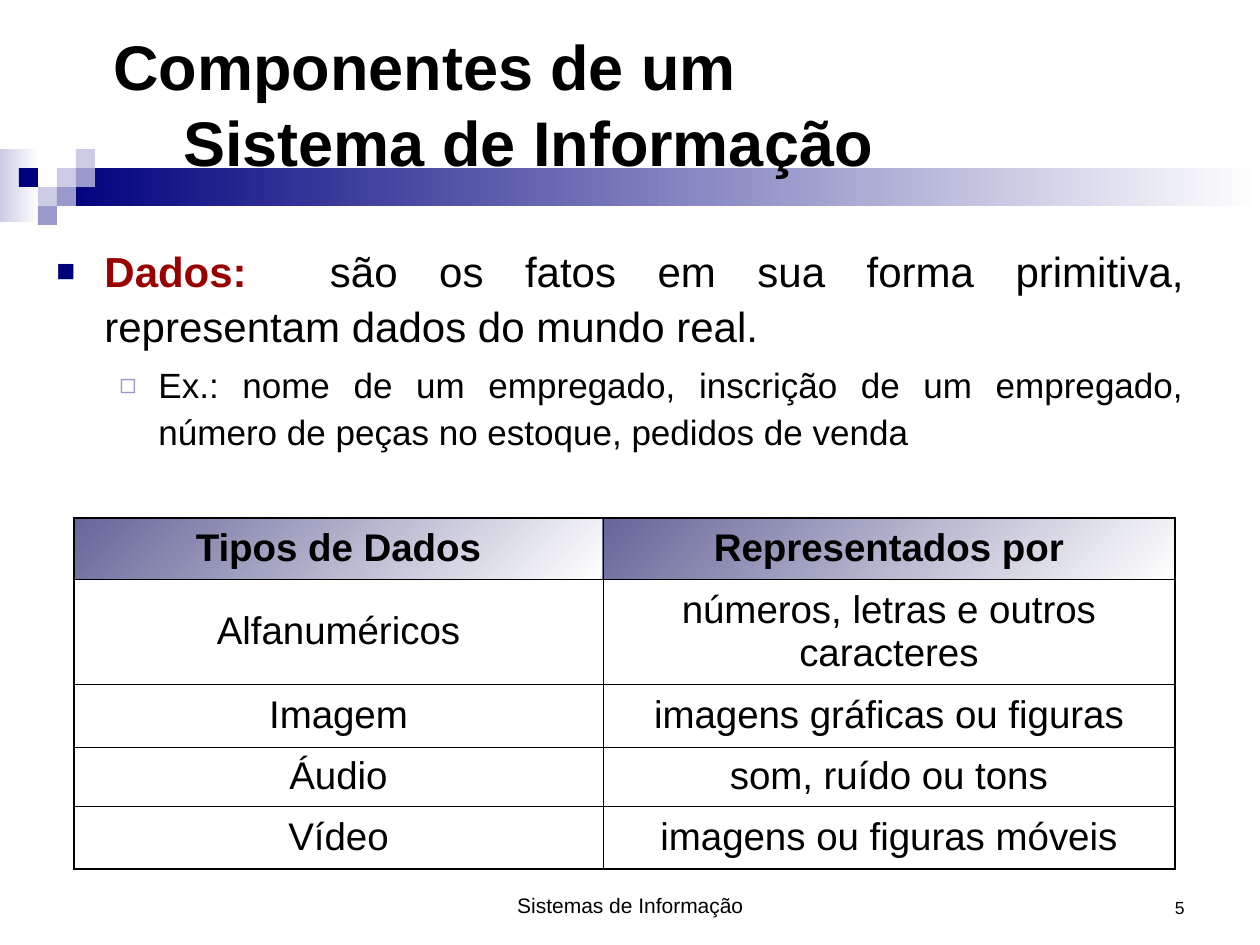
from dataclasses import dataclass

import pptx
import pptx.dml.color
import pptx.enum.shapes
import pptx.enum.text
import pptx.oxml
import pptx.oxml.ns
import pptx.util
from lxml import etree

RGB = pptx.dml.color.RGBColor
ALIGN = pptx.enum.text.PP_ALIGN
ANCHOR = pptx.enum.text.MSO_ANCHOR

BLACK = RGB(0x00, 0x00, 0x00)
WHITE = RGB(0xFF, 0xFF, 0xFF)
NAVY = RGB(0x00, 0x00, 0x7D)
LILAC = RGB(0x99, 0x99, 0xCC)
PALE_LILAC = RGB(0xCC, 0xCC, 0xE6)
HEADER_SLATE = RGB(0x66, 0x66, 0x99)
DARK_RED = RGB(0x99, 0x00, 0x00)

FONT = "Arial"
PX_PER_INCH = 126
THIN, THICK = 0.45, 1.08


@dataclass(frozen=True)
class Box:
    left: int
    top: int
    width: int
    height: int


@dataclass(frozen=True)
class Tile:
    column: int
    row: int
    color: RGB


@dataclass(frozen=True)
class Bullet:
    char: str
    color: RGB
    percent: int
    margin: int
    hanging: int


def px(length: int) -> int:
    return round(length * pptx.util.Inches(1) / PX_PER_INCH)


def emu(box: Box) -> tuple[int, ...]:
    return tuple(px(n) for n in (box.left, box.top, box.width, box.height))


def fade(fill, color: RGB, angle: int) -> None:
    """Fade from white to a colour; the angle runs counter-clockwise."""
    fill.gradient()
    fill.gradient_angle = angle
    for stop, stop_color in zip(fill.gradient_stops, (WHITE, color)):
        stop.color.rgb = stop_color


def add_block(slide, box: Box, color: RGB, fades: bool = False) -> None:
    block = slide.shapes.add_shape(
        pptx.enum.shapes.MSO_SHAPE.RECTANGLE, *emu(box))
    block.shadow.inherit = False
    block.line.fill.background()
    if fades:
        fade(block.fill, color, 180)
    else:
        block.fill.solid()
        block.fill.fore_color.rgb = color


def add_text_frame(slide, box: Box, anchor: ANCHOR):
    frame = slide.shapes.add_textbox(*emu(box)).text_frame
    frame.word_wrap = True
    frame.vertical_anchor = anchor
    return frame


def style(paragraph, size: int, align: ALIGN, bold: bool = False) -> None:
    paragraph.alignment = align
    paragraph.font.name = FONT
    paragraph.font.size = pptx.util.Pt(size)
    paragraph.font.bold = bold
    paragraph.font.color.rgb = BLACK


def set_indent(paragraph, margin: int, hanging: int) -> None:
    properties = paragraph._p.get_or_add_pPr()
    properties.set("marL", str(px(margin)))
    properties.set("indent", str(-px(hanging)))


def set_bullet(paragraph, bullet: Bullet) -> None:
    set_indent(paragraph, bullet.margin, bullet.hanging)
    properties = paragraph._p.get_or_add_pPr()
    namespace = pptx.oxml.ns.nsdecls("a")
    for xml in (
        f'<a:buClr {namespace}><a:srgbClr val="{bullet.color}"/></a:buClr>',
        f'<a:buSzPct {namespace} val="{bullet.percent * 1000}"/>',
        f'<a:buFont {namespace} typeface="{FONT}"/>',
        f'<a:buChar {namespace} char="{bullet.char}"/>',
    ):
        properties.append(pptx.oxml.parse_xml(xml))


def set_borders(cell, widths: dict[str, float]) -> None:
    properties = cell._tc.get_or_add_tcPr()
    for position, (side, width) in enumerate(widths.items()):
        line = etree.Element(pptx.oxml.ns.qn(f"a:ln{side}"),
                             w=str(pptx.util.Pt(width)))
        solid = etree.SubElement(line, pptx.oxml.ns.qn("a:solidFill"))
        etree.SubElement(solid, pptx.oxml.ns.qn("a:srgbClr"), val=str(BLACK))
        properties.insert(position, line)


def add_data_table(slide, box: Box, widths: list[int], heights: list[int],
                   rows: list[tuple[str, str]]) -> None:
    table = slide.shapes.add_table(len(rows), len(widths), *emu(box)).table
    table.first_row = table.horz_banding = False
    for column, width in zip(table.columns, widths):
        column.width = px(width)
    last_row, last_column = len(rows) - 1, len(widths) - 1
    for r, (texts, height) in enumerate(zip(rows, heights)):
        table.rows[r].height = px(height)
        for c, text in enumerate(texts):
            cell = table.cell(r, c)
            cell.text = text
            cell.vertical_anchor = ANCHOR.MIDDLE
            style(cell.text_frame.paragraphs[0], 22, ALIGN.CENTER, bold=r == 0)
            if r == 0:
                fade(cell.fill, HEADER_SLATE, 135)
            else:
                cell.fill.background()
            set_borders(cell, {
                "L": THICK if c == 0 else THIN,
                "R": THICK if c == last_column else THIN,
                "T": THICK if r == 0 else THIN,
                "B": THICK if r == last_row else THIN,
            })


def main() -> None:
    deck = pptx.Presentation()
    deck.slide_width, deck.slide_height = px(1260), px(945)
    slide = deck.slides.add_slide(deck.slide_layouts[6])

    # Decorative band and mosaic
    tile_size, mosaic_top = 19, 149
    add_block(slide, Box(0, mosaic_top, 39, 73), PALE_LILAC, fades=True)
    add_block(slide, Box(57, 168, 1203, 38), NAVY, fades=True)
    for tile in (
        Tile(3, 1, PALE_LILAC), Tile(4, 0, PALE_LILAC), Tile(4, 1, LILAC),
        Tile(2, 2, PALE_LILAC), Tile(1, 1, NAVY), Tile(3, 2, LILAC),
        Tile(2, 3, LILAC),
    ):
        add_block(slide, Box(tile.column * tile_size,
                             mosaic_top + tile.row * tile_size,
                             tile_size, tile_size), tile.color)

    # Data types table
    add_data_table(
        slide, Box(74, 518, 1101, 351), [529, 572], [61, 105, 63, 59, 63],
        [("Tipos de Dados", "Representados por"),
         ("Alfanuméricos", "números, letras e outros caracteres"),
         ("Imagem", "imagens gráficas ou figuras"),
         ("Áudio", "som, ruído ou tons"),
         ("Vídeo", "imagens ou figuras móveis")])

    # Title, with its second line set in
    title = add_text_frame(slide, Box(101, -4, 1134, 189),
                           ANCHOR.BOTTOM).paragraphs[0]
    title.text = "Componentes de um\vSistema de Informação"
    set_indent(title, 70, 70)
    style(title, 36, ALIGN.LEFT, bold=True)

    # Definition and example
    body = add_text_frame(slide, Box(44, 234, 1152, 536), ANCHOR.TOP)
    definition, example = body.paragraphs[0], body.add_paragraph()
    set_bullet(definition, Bullet("■", NAVY, 75, 48, 48))
    set_bullet(example, Bullet("◻", LILAC, 80, 102, 39))
    style(definition, 24, ALIGN.JUSTIFY)
    style(example, 20, ALIGN.JUSTIFY)
    definition.line_spacing = example.line_spacing = 1.1
    example.space_before = pptx.util.Pt(5)
    example.level = 1
    term = definition.add_run()
    term.text = "Dados:  "
    term.font.bold = True
    term.font.color.rgb = DARK_RED
    definition.add_run().text = ("são os fatos em sua forma primitiva, "
                                 "representam dados do mundo real.")
    example.text = ("Ex.: nome de um empregado, inscrição de um empregado, "
                    "número de peças no estoque, pedidos de venda")

    # Footer and page number
    for box, text, size, align in (
        (Box(903, 861, 294, 63), "5", 10, ALIGN.RIGHT),
        (Box(431, 861, 399, 63), "Sistemas de Informação", 12, ALIGN.CENTER),
    ):
        footer = add_text_frame(slide, box, ANCHOR.BOTTOM).paragraphs[0]
        footer.text = text
        style(footer, size, align)

    deck.save("out.pptx")


if __name__ == "__main__":
    main()
